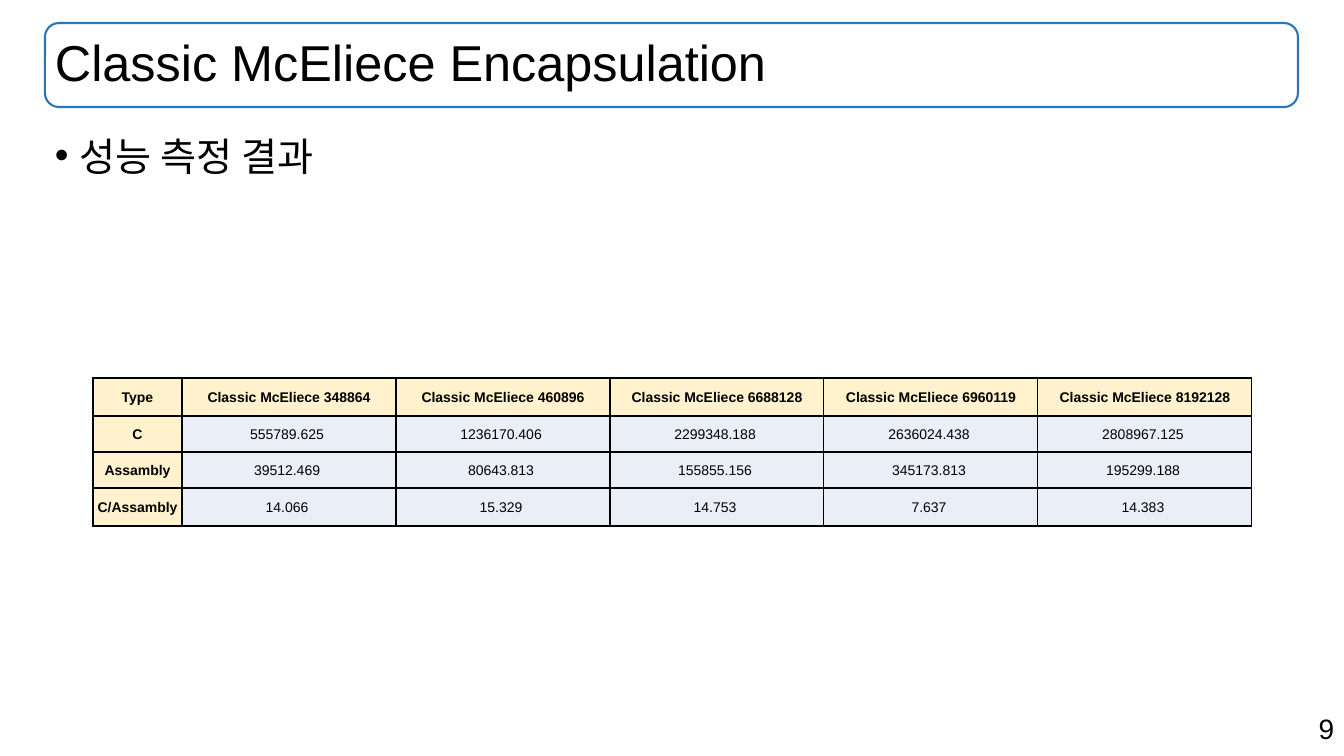
from lxml.etree import SubElement
from pptx import Presentation
from pptx.dml.color import RGBColor
from pptx.enum.shapes import MSO_SHAPE as SHAPE
from pptx.enum.text import MSO_ANCHOR as ANCHOR, PP_ALIGN as ALIGN
from pptx.oxml.ns import qn
from pptx.util import Emu, Pt

BLACK = RGBColor(0x00, 0x00, 0x00)
BLUE = RGBColor(0x2E, 0x75, 0xB6)
CREAM = RGBColor(0xFF, 0xF2, 0xCC)
PALE_BLUE = RGBColor(0xEA, 0xEF, 0xF7)
PX_PER_INCH = 100.8


def px(*lengths):
    return [Emu(round(n * 914400 / PX_PER_INCH)) for n in lengths]


def write(frame, text, size, bold=False, align=ALIGN.LEFT):
    frame.text = text
    frame.word_wrap = True
    paragraph = frame.paragraphs[0]
    paragraph.alignment = align
    font = paragraph.runs[0].font
    font.name, font.size, font.bold = "Arial", Pt(size), bold
    font.color.rgb = BLACK
    return paragraph


prs = Presentation()
prs.slide_width, prs.slide_height = px(1344, 756)
slide = prs.slides.add_slide(prs.slide_layouts[6])
shapes = slide.shapes

# Slide number
number = shapes.add_textbox(*px(951, 707, 393, 44))
write(number.text_frame, "9", 20, align=ALIGN.RIGHT)

# Title in its rounded frame
title_area = px(45, 23, 1253, 84)
title_frame = shapes.add_shape(SHAPE.ROUNDED_RECTANGLE, *title_area)
title_frame.shadow.inherit = False
title_frame.fill.background()
title_frame.line.color.rgb = BLUE
title_frame.line.width = Pt(1.5)

title = shapes.add_textbox(*title_area)
title.text_frame.vertical_anchor = ANCHOR.MIDDLE
write(title.text_frame, "Classic McEliece Encapsulation", 36).line_spacing = 0.9

# Bulleted heading
heading = shapes.add_textbox(*px(45, 127, 1253, 557))
bullet_line = write(heading.text_frame, "성능 측정 결과", 28)
bullet_props = bullet_line._p.get_or_add_pPr()
indent, = px(25)
bullet_props.set("marL", str(indent))
bullet_props.set("indent", str(-indent))
SubElement(bullet_props, qn("a:buFont"), typeface="Arial")
SubElement(bullet_props, qn("a:buChar"), char="•")

# Timing results
parameter_sets = ["348864", "460896", "6688128", "6960119", "8192128"]
results = [
    ["Type"] + [f"Classic McEliece {name}" for name in parameter_sets],
    ["C", "555789.625 ", "1236170.406 ", "2299348.188 ", "2636024.438 ", "2808967.125 "],
    ["Assambly", "39512.469 ", "80643.813 ", "155855.156 ", "345173.813 ", "195299.188 "],
    ["C/Assambly", "14.066 ", "15.329 ", "14.753 ", "7.637 ", "14.383 "],
]
column_widths = px(89, *[214] * len(parameter_sets))
row_heights = px(38, 36, 36, 38)
timing = shapes.add_table(len(results), len(column_widths), *px(93, 378),
                          sum(column_widths), sum(row_heights)).table
for column, width in zip(timing.columns, column_widths):
    column.width = width
for row, height in zip(timing.rows, row_heights):
    row.height = height

for r, values in enumerate(results):
    for c, value in enumerate(values):
        cell = timing.cell(r, c)
        is_label = r == 0 or c == 0
        write(cell.text_frame, value, 10, is_label, ALIGN.CENTER)
        cell.vertical_anchor = ANCHOR.MIDDLE
        cell.margin_left, cell.margin_right, cell.margin_top, cell.margin_bottom = px(1, 1, 1, 0)
        # Borders go before the fill in the cell properties
        for side in ("lnL", "lnR", "lnT", "lnB"):
            border = SubElement(cell._tc.get_or_add_tcPr(), qn(f"a:{side}"), w=str(Pt(1)))
            SubElement(SubElement(border, qn("a:solidFill")), qn("a:srgbClr"), val=str(BLACK))
        cell.fill.solid()
        cell.fill.fore_color.rgb = CREAM if is_label else PALE_BLUE

prs.save("out.pptx")
